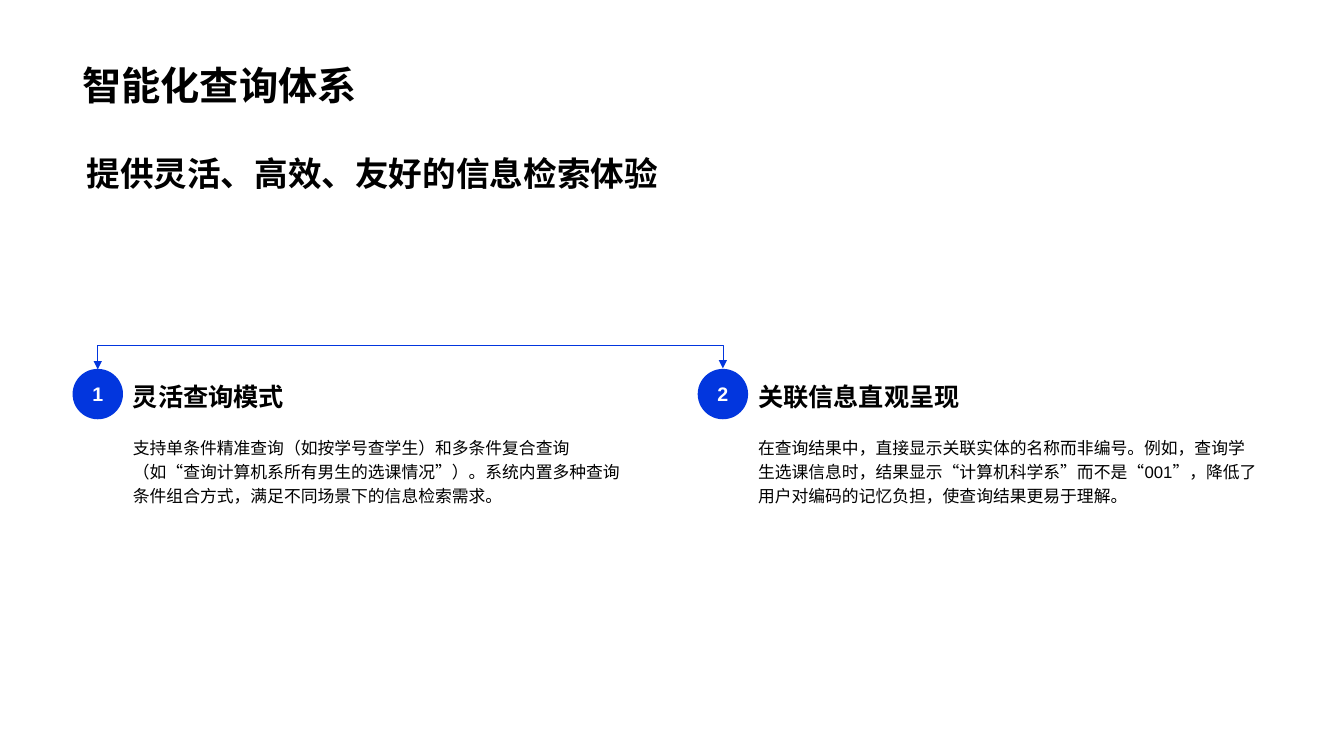
from lxml.etree import SubElement
from pptx import Presentation
from pptx.dml.color import RGBColor
from pptx.enum.shapes import MSO_CONNECTOR, MSO_SHAPE
from pptx.enum.text import MSO_ANCHOR, PP_ALIGN
from pptx.oxml.ns import qn
from pptx.util import Inches, Pt

BLUE, BLACK, WHITE = "0236DE", "000000", "FFFFFF"
LEFT, WIDTH = 0.72, 11.88
CIRCLE_TOP, CIRCLE_SIZE = 3.66, 0.5
COLUMN_STEP, COLUMN_WIDTH = 6.2, 5.18

FEATURES = [
    ("灵活查询模式",
     "支持单条件精准查询（如按学号查学生）和多条件复合查询（如“查询计算机系所有男生的选课情况”）。"
     "系统内置多种查询条件组合方式，满足不同场景下的信息检索需求。"),
    ("关联信息直观呈现",
     "在查询结果中，直接显示关联实体的名称而非编号。例如，查询学生选课信息时，"
     "结果显示“计算机科学系”而不是“001”，降低了用户对编码的记忆负担，使查询结果更易于理解。"),
]


def color(value):
    """Turn a hex string into a colour."""
    return RGBColor.from_string(value)


def write(shape, text, size, bold=True, ink=BLACK, anchor=MSO_ANCHOR.MIDDLE,
          align=PP_ALIGN.LEFT, spacing=1.0, wrap=True):
    """Put one formatted paragraph into a shape."""
    frame = shape.text_frame
    frame.text = text
    frame.word_wrap = wrap
    frame.vertical_anchor = anchor
    para = frame.paragraphs[0]
    para.alignment = align
    para.line_spacing = spacing
    font = para.runs[0].font
    font.name, font.size, font.bold = "Arial", Pt(size), bold
    font.color.rgb = color(ink)


def add_text(page, left, top, width, height, text, size, **style):
    """Add a text box."""
    box = page.shapes.add_textbox(Inches(left), Inches(top), Inches(width), Inches(height))
    write(box, text, size, **style)


def add_panel(page, kind, left, top, width, height, fill=None):
    """Add a preset shape without outline or shadow."""
    shape = page.shapes.add_shape(kind, Inches(left), Inches(top), Inches(width), Inches(height))
    shape.shadow.inherit = False
    shape.line.fill.background()
    if fill:
        shape.fill.solid()
        shape.fill.fore_color.rgb = color(fill)
    else:
        shape.fill.background()
    return shape


def add_feature(page, number, left, heading, body):
    """Add a numbered circle with its heading and description."""
    text_left = left + CIRCLE_SIZE
    add_text(page, text_left, CIRCLE_TOP, COLUMN_WIDTH, 0.48, heading, 18, spacing=1.2)
    add_text(page, text_left, 4.25, COLUMN_WIDTH, 2.46, body, 12, bold=False,
             anchor=MSO_ANCHOR.TOP, spacing=1.2)
    circle = add_panel(page, MSO_SHAPE.OVAL, left, CIRCLE_TOP, CIRCLE_SIZE, CIRCLE_SIZE, BLUE)
    write(circle, str(number), 14, ink=WHITE, align=PP_ALIGN.CENTER, wrap=False)


def add_bracket(page, left, right, bottom, rise):
    """Add an elbow connector that rises over two points and ends in arrows."""
    depth = 0.01
    middle, half = (left + right) / 2, (right - left) / 2
    bracket = page.shapes.add_connector(
        MSO_CONNECTOR.ELBOW,
        Inches(middle + depth / 2), Inches(bottom + half),
        Inches(middle - depth / 2), Inches(bottom - half))
    bracket.line.color.rgb = color(BLUE)
    bracket.line.width = Pt(0.5)
    properties = bracket.element.spPr
    properties.find(qn("a:xfrm")).set("rot", "5400000")
    guides = properties.find(qn("a:prstGeom")).get_or_add_avLst()
    SubElement(guides, qn("a:gd"), name="adj1", fmla=f"val {round(rise / depth * 100000)}")
    line = properties.find(qn("a:ln"))
    for end in ("a:headEnd", "a:tailEnd"):
        SubElement(line, qn(end), type="triangle")
    SubElement(properties, qn("a:effectLst"))


def main():
    """Build and save the slide."""
    deck = Presentation()
    deck.slide_width, deck.slide_height = Inches(13.33), Inches(7.5)
    page = deck.slides.add_slide(deck.slide_layouts[6])
    subtitle = add_panel(page, MSO_SHAPE.ROUNDED_RECTANGLE, LEFT, 1.25, WIDTH, 0.93)
    subtitle.adjustments[0] = 0.145
    write(subtitle, "提供灵活、高效、友好的信息检索体验", 24)
    for index, (heading, body) in enumerate(FEATURES):
        add_feature(page, index + 1, LEFT + index * COLUMN_STEP, heading, body)
    first_center = LEFT + CIRCLE_SIZE / 2
    add_bracket(page, first_center, first_center + COLUMN_STEP, CIRCLE_TOP, 0.24)
    add_text(page, LEFT, 0.14, WIDTH, 0.98, "智能化查询体系", 28, anchor=MSO_ANCHOR.BOTTOM)
    deck.save("out.pptx")


if __name__ == "__main__":
    main()
